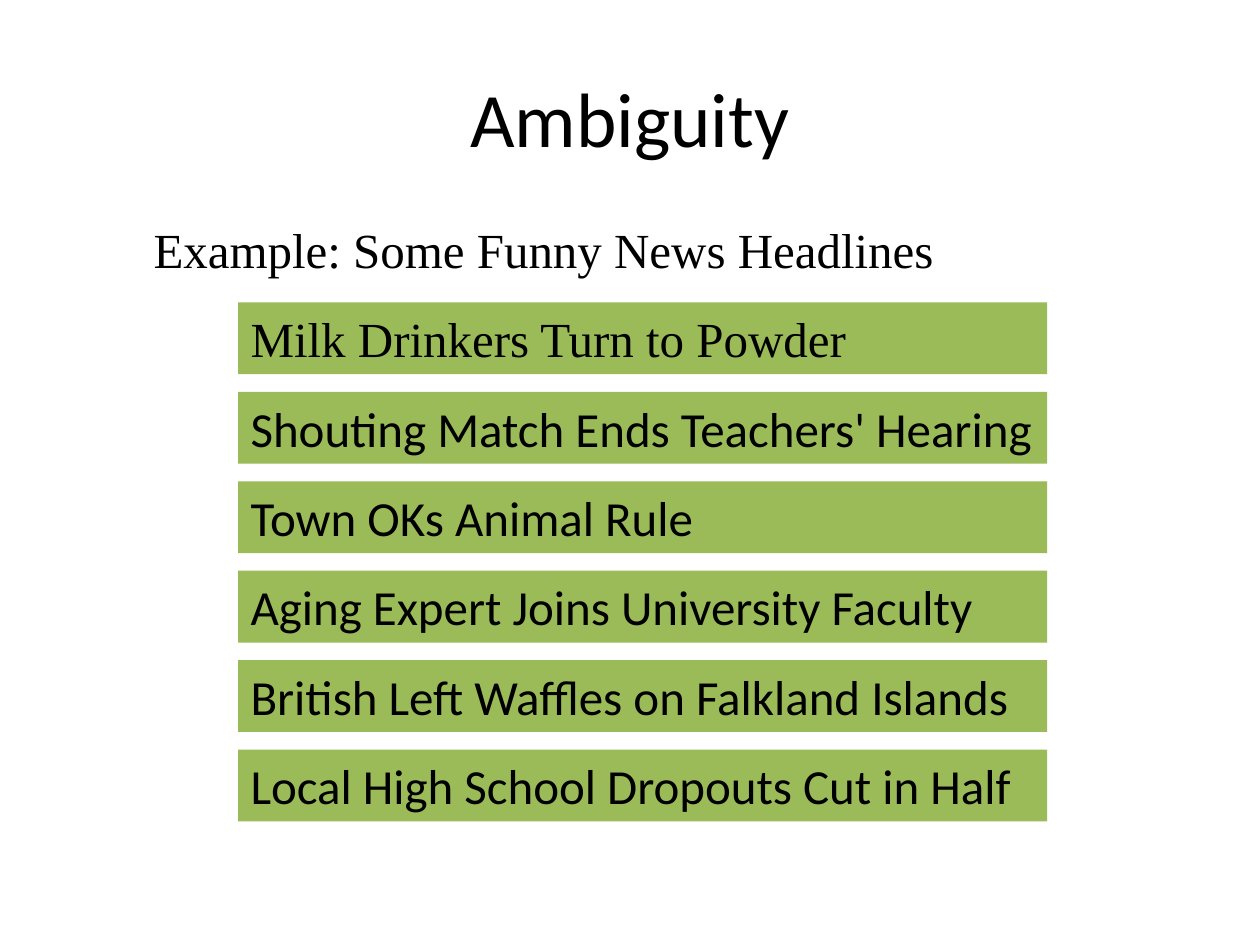
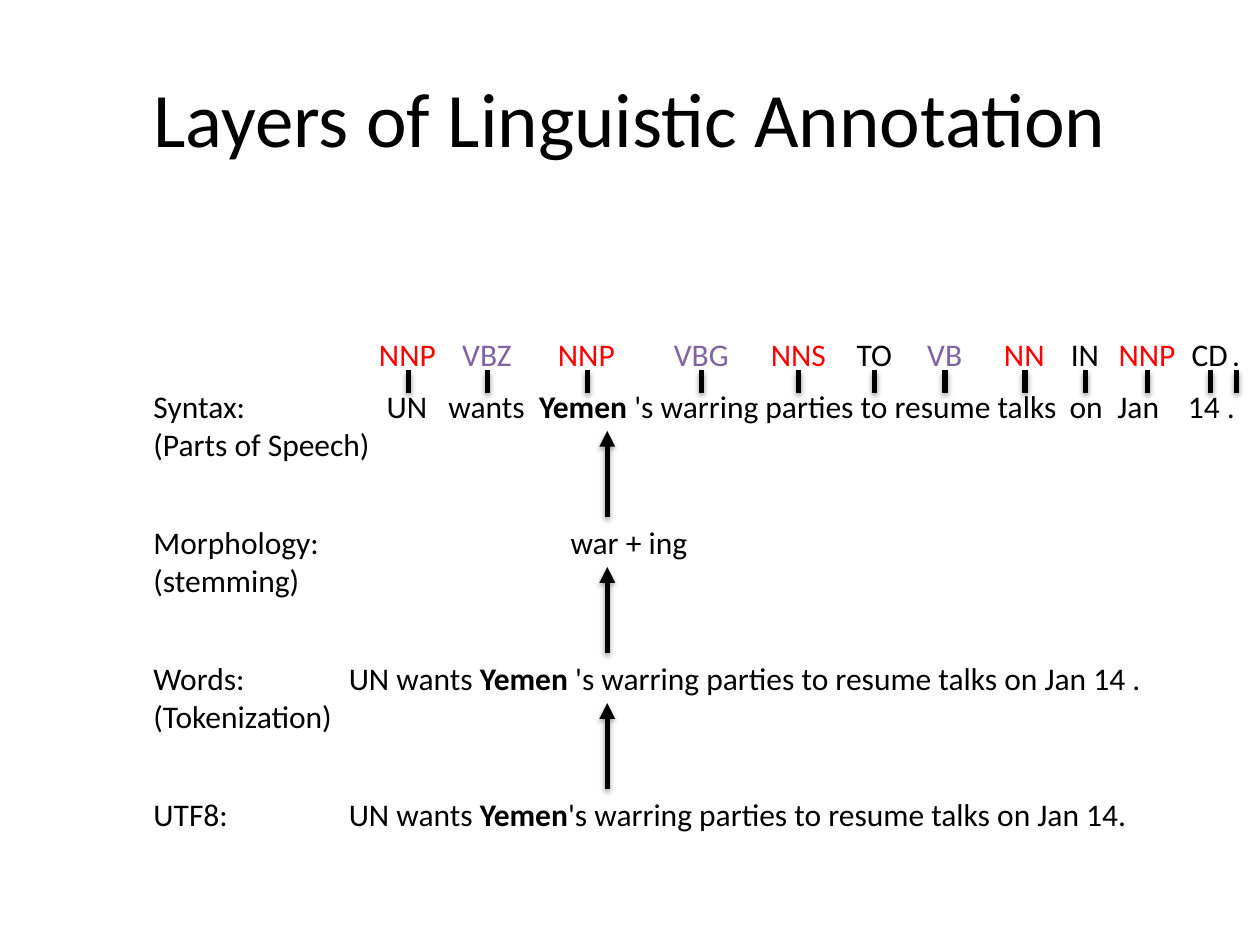
from dataclasses import dataclass

from pptx import Presentation
from pptx.dml.color import RGBColor
from pptx.enum.shapes import MSO_CONNECTOR, MSO_SHAPE
from pptx.enum.text import MSO_ANCHOR, MSO_AUTO_SIZE, PP_ALIGN
from pptx.oxml.ns import qn
from pptx.util import Inches, Pt
from lxml.etree import SubElement

BLACK, RED, PURPLE, GREEN = "000000", "FF0000", "8064A2", "9BBB59"
SANS, SERIF = "Calibri", "Times New Roman"
LABEL_LEFT = 1.12


@dataclass
class Headline:
    text: str
    font: str = SANS


@dataclass
class Tag:
    text: str
    left: float
    width: float
    color: str = BLACK


@dataclass
class Layer:
    label: str
    label_width: float
    text: str
    left: float
    width: float
    tabs: tuple[float, ...] = ()


HEADLINES = [
    Headline("Milk Drinkers Turn to Powder", SERIF),
    Headline("Shouting Match Ends Teachers' Hearing"),
    Headline("Town OKs Animal Rule"),
    Headline("Aging Expert Joins University Faculty"),
    Headline("British Left Waffles on Falkland Islands"),
    Headline("Local High School Dropouts Cut in Half"),
]

TAGS = [
    Tag("NNP", 2.91, 0.66, RED),
    Tag("VBZ", 3.57, 0.6, PURPLE),
    Tag("NNP", 4.33, 0.66, RED),
    Tag("VBG", 5.25, 0.64, PURPLE),
    Tag("NNS", 6.02, 0.64, RED),
    Tag("TO", 6.7, 0.48),
    Tag("VB", 7.26, 0.48, PURPLE),
    Tag("NN", 7.87, 0.53, RED),
    Tag("IN", 8.4, 0.43),
    Tag("NNP", 8.78, 0.66, RED),
    Tag("CD", 9.36, 0.49),
    Tag(".", 9.68, 0.27),
]

SYNTAX_PARTS = ("UN", "wants", "Yemen 's warring parties to resume talks", "on", "Jan", "14 .")

LAYERS = [
    Layer("Syntax:\n(Parts of Speech)", 1.94, "\t".join(SYNTAX_PARTS), 2.97, 7.02,
          (0.49, 1.21, 5.42, 5.8, 6.36)),
    Layer("Morphology:\n(stemming)", 1.53, "war + ing", 4.43, 1.14),
    Layer("Words:\n(Tokenization)", 1.64,
          "UN wants Yemen 's warring parties to resume talks on Jan 14 .", 2.67, 6.56),
    Layer("UTF8:", 0.8,
          "UN wants Yemen's warring parties to resume talks on Jan 14.", 2.67, 6.44),
]


def rgb(color: str) -> RGBColor:
    return RGBColor.from_string(color)


def write(tf, text: str, *, size: float = 18, font: str = SANS, color: str = BLACK,
          bold_word: str = "", align=PP_ALIGN.LEFT, tabs: tuple[float, ...] = ()) -> None:
    for i, line in enumerate(text.split("\n")):
        p = tf.paragraphs[0] if i == 0 else tf.add_paragraph()
        p.alignment = align
        if tabs:
            tab_list = SubElement(p._p.get_or_add_pPr(), qn("a:tabLst"))
            for stop in tabs:
                SubElement(tab_list, qn("a:tab"), pos=str(Inches(stop)), algn="l")
        for part in line.partition(bold_word) if bold_word else (line,):
            if not part:
                continue
            r = p.add_run()
            r.text = part
            r.font.size = Pt(size)
            r.font.name = font
            r.font.bold = bool(bold_word) and part == bold_word
            r.font.color.rgb = rgb(color)


def add_text(slide, text: str, left: float, top: float, width: float, height: float = 0.4,
             *, wrap: bool = False, **fmt) -> None:
    tf = slide.shapes.add_textbox(*map(Inches, (left, top, width, height))).text_frame
    tf.word_wrap = wrap
    tf.auto_size = MSO_AUTO_SIZE.SHAPE_TO_FIT_TEXT
    if wrap:
        tf.margin_right = 0
    write(tf, text, **fmt)


def add_bar(slide, headline: Headline, top: float) -> None:
    sp = slide.shapes.add_shape(MSO_SHAPE.RECTANGLE, *map(Inches, (1.89, top, 6.42, 0.57)))
    sp.shadow.inherit = False
    sp.fill.solid()
    sp.fill.fore_color.rgb = rgb(GREEN)
    sp.line.fill.background()
    tf = sp.text_frame
    tf.word_wrap = True
    tf.auto_size = MSO_AUTO_SIZE.SHAPE_TO_FIT_TEXT
    tf.vertical_anchor = MSO_ANCHOR.TOP
    write(tf, headline.text, size=28, font=headline.font)


def add_riser(slide, x: float, bottom: float, top: float, arrow: bool = False) -> None:
    line = slide.shapes.add_connector(MSO_CONNECTOR.STRAIGHT,
                                      *map(Inches, (x, bottom, x, top)))
    line.line.color.rgb = rgb(BLACK)
    line.line.width = Pt(3)
    sp_pr = line._element.spPr
    if arrow:
        SubElement(sp_pr.find(qn("a:ln")), qn("a:tailEnd"), type="triangle")
    effects = SubElement(sp_pr, qn("a:effectLst"))
    shadow = SubElement(effects, qn("a:outerShdw"), blurRad=str(Pt(3.1)), dist=str(Pt(1.6)),
                        dir="5400000", rotWithShape="0")
    shade = SubElement(shadow, qn("a:srgbClr"), val=BLACK)
    SubElement(shade, qn("a:alpha"), val="38000")


def add_titled_slide(prs, title: str):
    slide = prs.slides.add_slide(prs.slide_layouts[5])
    sp = slide.shapes.title
    sp.left, sp.top, sp.width, sp.height = map(Inches, (0.5, 0.3, 9, 1.25))
    sp.text_frame.vertical_anchor = MSO_ANCHOR.MIDDLE
    write(sp.text_frame, title, size=44, align=PP_ALIGN.CENTER)
    return slide


def build_ambiguity(prs) -> None:
    slide = add_titled_slide(prs, "Ambiguity")
    add_text(slide, "Example: Some Funny News Headlines", LABEL_LEFT, 1.69, 6.62, 0.57,
             wrap=True, size=28, font=SERIF)
    for i, headline in enumerate(HEADLINES):
        add_bar(slide, headline, 2.4 + 0.71 * i)


def build_layers(prs) -> None:
    slide = add_titled_slide(prs, "Layers of Linguistic Annotation")
    for i, layer in enumerate(LAYERS):
        top = 3.02 + 1.08 * i
        label_height = 0.71 if "\n" in layer.label else 0.4
        add_text(slide, layer.label, LABEL_LEFT, top, layer.label_width, label_height)
        add_text(slide, layer.text, layer.left, top, layer.width, wrap=bool(layer.tabs),
                 bold_word="Yemen", tabs=layer.tabs)
        if i > 0:
            add_riser(slide, 4.82, top, top - 0.68, arrow=True)
    for tag in TAGS:
        add_text(slide, tag.text, tag.left, 2.61, tag.width, color=tag.color)
        add_riser(slide, tag.left + tag.width / 2, 3.12, 2.94)


def main() -> None:
    prs = Presentation()
    prs.slide_width, prs.slide_height = Inches(10), Inches(7.5)
    build_ambiguity(prs)
    build_layers(prs)
    prs.save("out.pptx")


if __name__ == "__main__":
    main()
